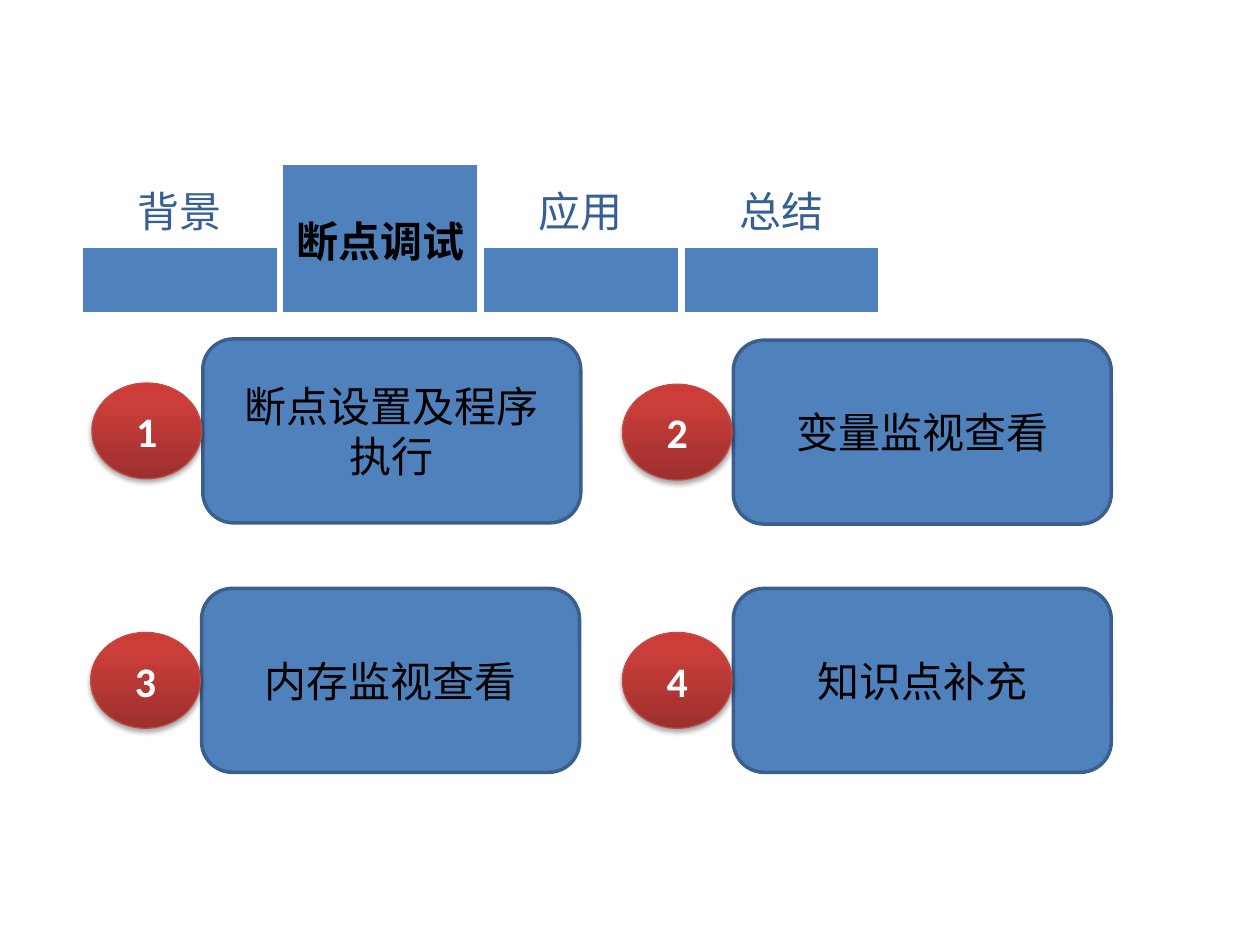
from lxml.etree import SubElement
from pptx import Presentation
from pptx.dml.color import RGBColor
from pptx.enum.shapes import MSO_SHAPE as Shape
from pptx.enum.text import MSO_ANCHOR as Anchor, PP_ALIGN as Align
from pptx.oxml.ns import qn
from pptx.util import Inches, Pt

BLUE = RGBColor(0x4F, 0x81, 0xBD)
EDGE = RGBColor(0x3A, 0x5F, 0x8C)
NAVY = RGBColor(0x37, 0x60, 0x92)
RIM = RGBColor(0xBF, 0x4C, 0x48)
BLACK = RGBColor(0, 0, 0)
WHITE = RGBColor(0xFF, 0xFF, 0xFF)
REDS = [(0, RGBColor(0x9C, 0x2F, 0x2D)),
        (80, RGBColor(0xCB, 0x3E, 0x3A)),
        (100, RGBColor(0xCE, 0x3B, 0x37))]
LATIN, HAN = "Calibri", "Noto Sans CJK SC"

TABS = ["背景", "断点调试", "应用", "总结"]
ACTIVE = 1
# number, topic, left and top of the topic box
TOPICS = [("1", "断点设置及程序执行", 1.61, 2.69),
          ("2", "变量监视查看", 5.82, 2.7),
          ("3", "内存监视查看", 1.6, 4.67),
          ("4", "知识点补充", 5.82, 4.67)]


def write(frame, text, color, bold=False, font=LATIN):
    para = frame.paragraphs[0]
    para.alignment = Align.CENTER
    run = para.add_run()
    run.text = text
    run.font.size = Pt(24)
    run.font.bold = bold
    run.font.name = font
    run.font.color.rgb = color
    SubElement(run.font._element, qn("a:ea"), typeface=HAN)


def add_color(parent, color):
    return SubElement(parent, qn("a:srgbClr"), val=str(color))


def set_edges(cell, **widths):
    """Draw white cell borders, with widths in points by side."""
    props = cell._tc.get_or_add_tcPr()
    for spot, side in enumerate("LRTB"):
        line = SubElement(props, qn(f"a:ln{side}"), w=str(Pt(widths.get(side, 4.5))))
        add_color(SubElement(line, qn("a:solidFill")), WHITE)
        props.insert(spot, line)


def fill_cell(cell, solid):
    if solid:
        cell.fill.solid()
        cell.fill.fore_color.rgb = BLUE
    else:
        cell.fill.background()


def add_tabs(slide):
    """Add the tab bar; the active tab spans both rows."""
    frame = slide.shapes.add_table(2, len(TABS), Inches(0.63), Inches(1.29),
                                   Inches(6.37), Inches(1.21))
    table = frame.table
    table.first_row = table.horz_banding = False
    for row, high in zip(table.rows, (0.65, 0.56)):
        row.height = Inches(high)
    table.cell(0, ACTIVE).merge(table.cell(1, ACTIVE))
    for col, name in enumerate(TABS):
        active = col == ACTIVE
        head, bar = table.cell(0, col), table.cell(1, col)
        for cell, solid in ((head, active), (bar, True)):
            cell.margin_left = cell.margin_right = Inches(0.07)
            cell.margin_top = cell.margin_bottom = Inches(0.04)
            fill_cell(cell, solid)
        set_edges(head, T=3, R=3 if col == len(TABS) - 1 else 4.5)
        set_edges(bar)
        head.vertical_anchor = Anchor.MIDDLE if active else Anchor.BOTTOM
        write(head.text_frame, name, BLACK if active else NAVY,
              bold=active, font=HAN)


def add_block(group, kind, left, top, wide, high, line, weight):
    block = group.shapes.add_shape(kind, Inches(left), Inches(top),
                                   Inches(wide), Inches(high))
    block.shadow.inherit = False
    block.line.color.rgb = line
    block.line.width = Pt(weight)
    block.text_frame.word_wrap = True
    block.text_frame.vertical_anchor = Anchor.MIDDLE
    return block


def shade(ball):
    """Give the ball its red gradient and soft drop shadow."""
    ball.fill.gradient()
    ball.fill.gradient_angle = 90
    props = ball._element.spPr
    stops = props.find(qn("a:gradFill")).find(qn("a:gsLst"))
    for stop in list(stops):
        stops.remove(stop)
    for place, color in REDS:
        add_color(SubElement(stops, qn("a:gs"), pos=str(place * 1000)), color)
    drop = SubElement(props.find(qn("a:effectLst")), qn("a:outerShdw"),
                      blurRad=str(Pt(3.1)), dist=str(Pt(1.8)),
                      dir="5400000", rotWithShape="0")
    SubElement(add_color(drop, BLACK), qn("a:alpha"), val="35000")


def add_topic(slide, number, text, left, top):
    group = slide.shapes.add_group_shape()
    box = add_block(group, Shape.ROUNDED_RECTANGLE, left, top, 3, 1.46, EDGE, 2)
    box.fill.solid()
    box.fill.fore_color.rgb = BLUE
    write(box.text_frame, text, BLACK)
    ball = add_block(group, Shape.OVAL, left - 0.88, top + 0.35, 0.87, 0.76, RIM, 0.75)
    shade(ball)
    write(ball.text_frame, number, WHITE, bold=True)


def main():
    deck = Presentation()
    deck.slide_width, deck.slide_height = Inches(10), Inches(7.5)
    slide = deck.slides.add_slide(deck.slide_layouts[6])
    add_tabs(slide)
    for topic in TOPICS:
        add_topic(slide, *topic)
    deck.save("out.pptx")


if __name__ == "__main__":
    main()
